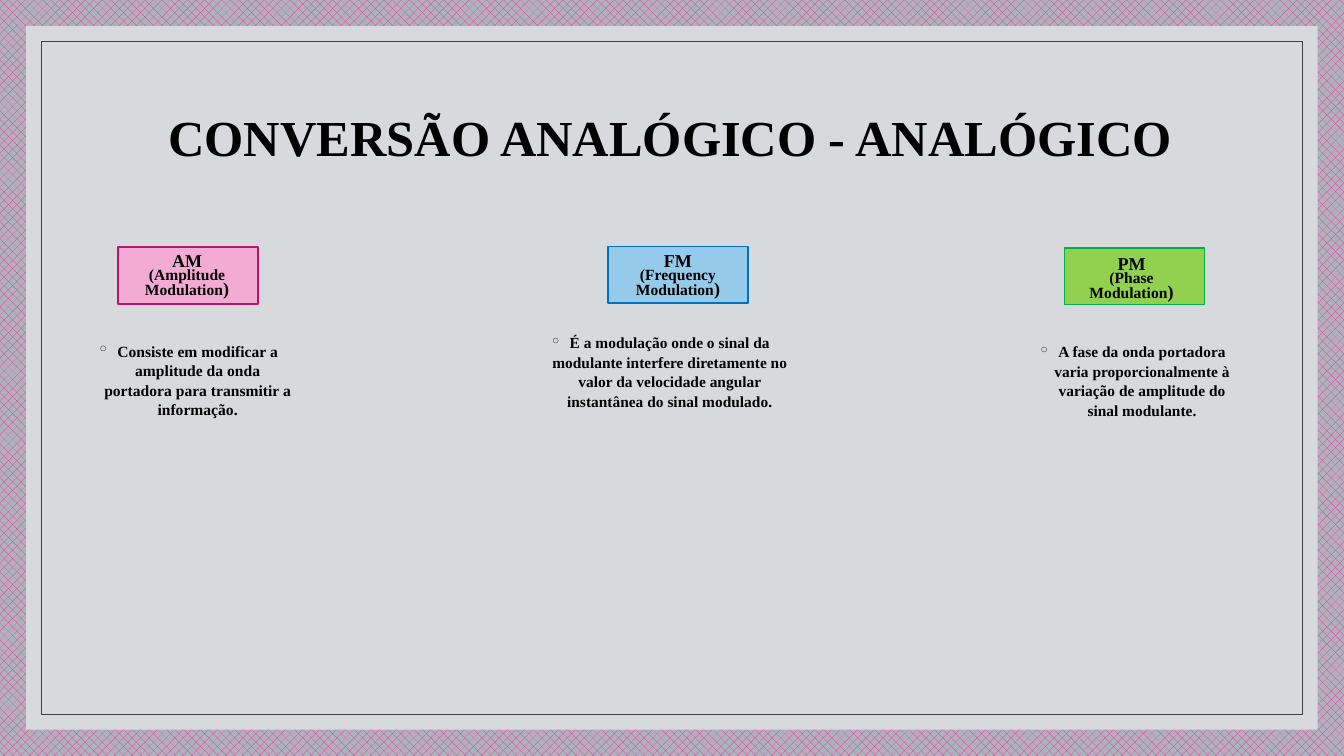
from pptx import Presentation
from pptx.dml.color import RGBColor
from pptx.enum.dml import MSO_PATTERN
from pptx.enum.shapes import MSO_SHAPE
from pptx.enum.text import MSO_ANCHOR, MSO_AUTO_SIZE, PP_ALIGN
from pptx.oxml import parse_xml
from pptx.oxml.ns import nsdecls
from pptx.util import Inches, Pt

RECT = MSO_SHAPE.RECTANGLE
CENTER = PP_ALIGN.CENTER
TOP, MIDDLE = MSO_ANCHOR.TOP, MSO_ANCHOR.MIDDLE
NO_AUTOFIT = MSO_AUTO_SIZE.NONE
HATCH = MSO_PATTERN.from_xml("pct40")
FONT = "Times New Roman"
WIDTH, HEIGHT = Inches(13.33), Inches(7.5)
ACRONYM_SIZE, NAME_SIZE = 12.9, 11.1

COLORS = {
    "text": "000000", "bullet": "262626", "panel": "D8D9DC", "frame": "404040",
    "hatch": "E32D91", "backdrop": "B1B1BD",
    "am": "F4ABD3", "am_line": "B4186E",
    "fm": "95CAEA", "fm_line": "0070C0",
    "pm": "92D050", "pm_line": "00B050",
}

# Places are percentages of the slide: left, top, width, height
MODULATIONS = [
    {"key": "am", "acronym": "AM", "name": ["(Amplitude Modulation"],
     "box": (8.78, 32.7, 10.43, 7.55), "label": (7.35, 32.8, 13.13, 7.6),
     "about": (5.33, 44.4, 17.25, 9.07), "about_size": 11.1,
     "text": "Consiste em modificar a amplitude da onda portadora para "
             "transmitir a informação."},
    {"key": "fm", "acronym": "FM", "name": ["(Frequency Modulation"],
     "box": (45.23, 32.6, 10.43, 7.5), "label": (43.88, 32.8, 13.13, 7.6),
     "about": (38.25, 43.33, 21.68, 9.07), "about_size": 11,
     "text": "É a modulação onde o sinal da modulante interfere diretamente "
             "no valor da velocidade angular instantânea do sinal modulado."},
    {"key": "pm", "acronym": "PM", "name": ["(Phase", "Modulation"],
     "box": (79.2, 32.8, 10.43, 7.5), "label": (77.63, 33.2, 13.13, 7.6),
     "about": (75.6, 44.53, 17.25, 12), "about_size": 11,
     "text": "A fase da onda portadora varia proporcionalmente à variação de "
             "amplitude do sinal modulante."},
]


def rgb(name):
    return RGBColor.from_string(COLORS[name])


def place(share):
    """Turn percentages of the slide into lengths."""
    return [int(part * side / 100)
            for part, side in zip(share, (WIDTH, HEIGHT, WIDTH, HEIGHT))]


def inset(margin):
    """Place a rectangle at an equal distance from all slide edges."""
    return [margin, margin, WIDTH - 2 * margin, HEIGHT - 2 * margin]


def add_box(slide, bounds, fill=None, line=None, weight=1):
    box = slide.shapes.add_shape(RECT, *bounds)
    box.shadow.inherit = False
    if fill:
        box.fill.solid()
        box.fill.fore_color.rgb = rgb(fill)
    else:
        box.fill.background()
    if line:
        box.line.color.rgb = rgb(line)
        box.line.width = Pt(weight)
    else:
        box.line.fill.background()
    return box


def format_paragraph(paragraph, spacing, size=None):
    paragraph.alignment = CENTER
    paragraph.line_spacing = spacing
    font = paragraph.font
    font.name, font.bold = FONT, True
    font.color.rgb = rgb("text")
    if size:
        font.size = Pt(size)


def add_text_frame(slide, share, anchor):
    frame = slide.shapes.add_textbox(*place(share)).text_frame
    frame.word_wrap = True
    frame.vertical_anchor = anchor
    return frame


def add_label(slide, share, acronym, name):
    frame = add_text_frame(slide, share, MIDDLE)
    heading = frame.paragraphs[0]
    heading.text = acronym
    format_paragraph(heading, 0.7, ACRONYM_SIZE)
    for words in name:
        line = frame.add_paragraph()
        is_last = words == name[-1]
        format_paragraph(line, 0.7, None if is_last else NAME_SIZE)
        run = line.add_run()
        run.text = words
        if is_last:
            run.font.size = Pt(NAME_SIZE)
            bracket = line.add_run()
            bracket.text = ")"
            bracket.font.size = Pt(ACRONYM_SIZE)


def add_bullet(paragraph):
    properties = paragraph._p.get_or_add_pPr()
    properties.set("marL", str(Inches(0.2)))
    properties.set("indent", str(-Inches(0.2)))
    properties.append(parse_xml(
        f'<a:buClr {nsdecls("a")}><a:srgbClr val="{COLORS["bullet"]}"/></a:buClr>'))
    properties.append(parse_xml(f'<a:buChar {nsdecls("a")} char="◦"/>'))


def add_description(slide, share, text, size):
    paragraph = add_text_frame(slide, share, TOP).paragraphs[0]
    paragraph.text = text
    add_bullet(paragraph)
    format_paragraph(paragraph, 1.05, size)


def add_backdrop(slide):
    fill = slide.background.fill
    fill.patterned()
    fill.pattern = HATCH
    fill.fore_color.rgb = rgb("hatch")
    fill.back_color.rgb = rgb("backdrop")
    panel = add_box(slide, inset(Inches(0.26)), fill="panel")
    border = add_box(slide, inset(Inches(0.41)), line="frame", weight=0.5)
    # Keep the title in front of the panel
    for part in (panel, border):
        slide.shapes.title._element.addprevious(part._element)


def set_title(slide, text):
    title = slide.shapes.title
    title.left, title.top, title.width, title.height = place((8.63, 8.53, 82.5, 20))
    frame = title.text_frame
    frame.text = text
    frame.word_wrap = True
    frame.auto_size = NO_AUTOFIT
    frame.vertical_anchor = MIDDLE
    format_paragraph(frame.paragraphs[0], 0.9, 36)


def main():
    deck = Presentation()
    deck.slide_width, deck.slide_height = WIDTH, HEIGHT
    slide = deck.slides.add_slide(deck.slide_layouts.get_by_name("Title Only"))

    add_backdrop(slide)
    set_title(slide, "CONVERSÃO ANALÓGICO - ANALÓGICO")

    # One column for each modulation
    for item in MODULATIONS:
        key = item["key"]
        add_box(slide, place(item["box"]), key, f"{key}_line")
        add_label(slide, item["label"], item["acronym"], item["name"])
        add_description(slide, item["about"], item["text"], item["about_size"])

    deck.save("out.pptx")


if __name__ == "__main__":
    main()
